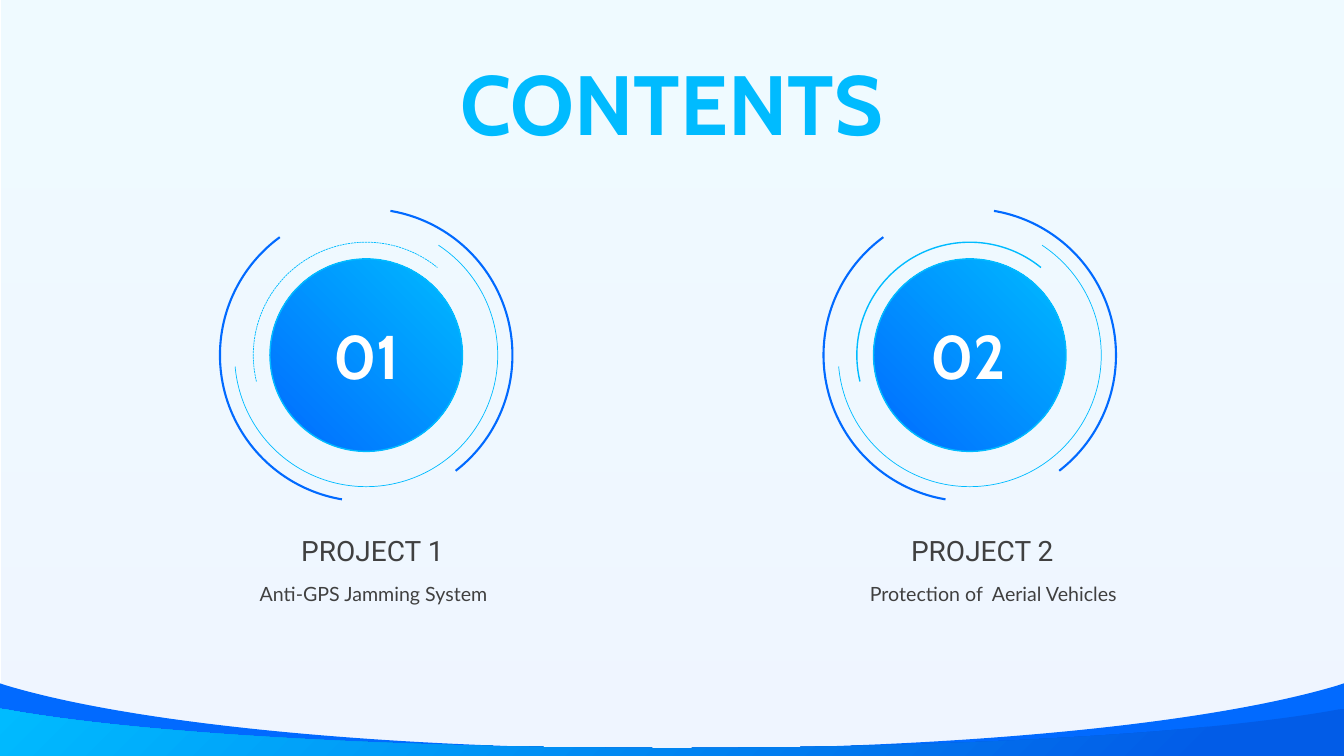
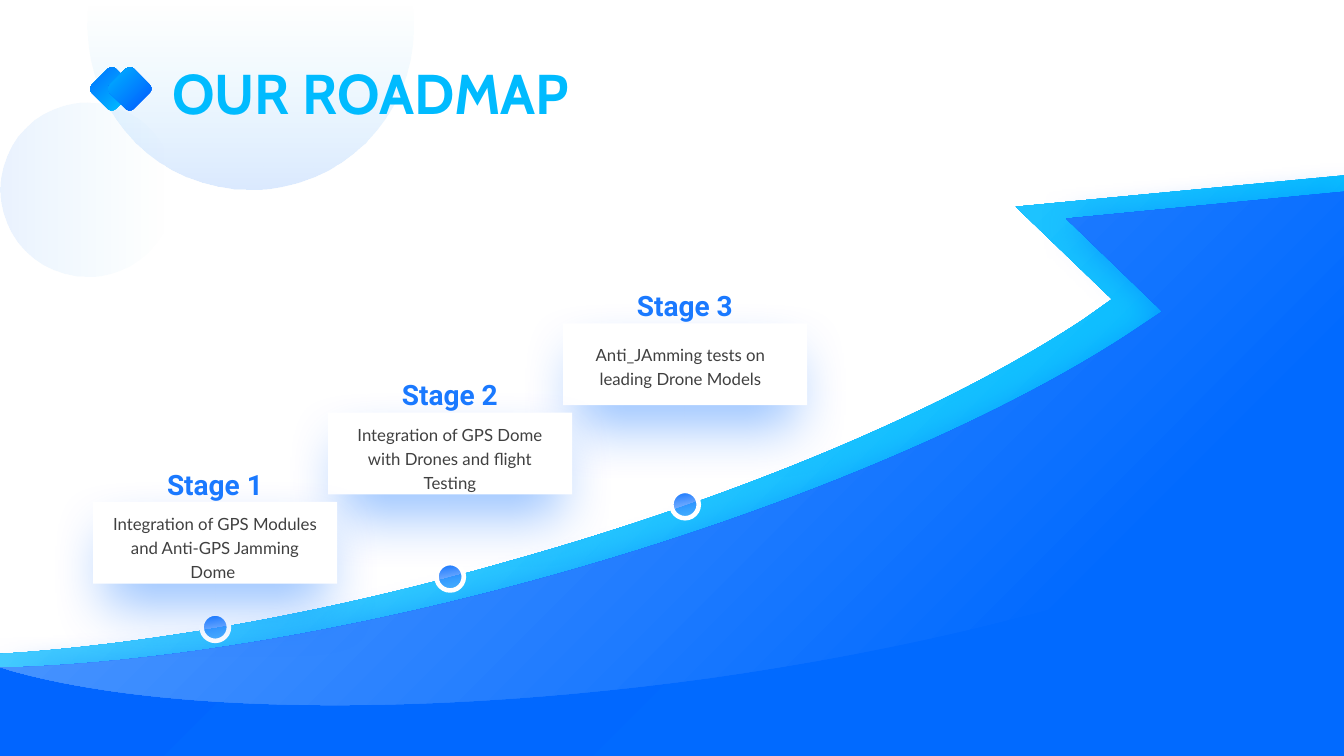
"""Build a contents page and a roadmap page in a shared blue style."""
from dataclasses import dataclass, field

from pptx import Presentation
from pptx.dml.color import RGBColor
from pptx.enum.dml import MSO_LINE
from pptx.enum.shapes import MSO_SHAPE
from pptx.enum.text import MSO_ANCHOR, PP_ALIGN
from pptx.oxml import parse_xml
from pptx.oxml.ns import nsdecls, qn
from pptx.util import Cm, Pt

ARC = MSO_SHAPE.ARC
OVAL = MSO_SHAPE.OVAL
RECTANGLE = MSO_SHAPE.RECTANGLE
ROUNDED = MSO_SHAPE.ROUNDED_RECTANGLE
SOLID = MSO_LINE.SOLID
DOTTED = MSO_LINE.SQUARE_DOT
TOP = MSO_ANCHOR.TOP
CENTER = PP_ALIGN.CENTER
LEFT = PP_ALIGN.LEFT

WIDTH, HEIGHT = 33.87, 19.05
TOP_LEFT = '<a:path path="circle"><a:fillToRect r="100000" b="100000"/></a:path>'
TOP_RIGHT = '<a:path path="circle"><a:fillToRect l="100000" b="100000"/></a:path>'
LINEAR = '<a:lin ang="{}" scaled="0"/>'
RIGHTWARD = LINEAR.format(0)
DOWNWARD = LINEAR.format(90 * 60000)
STEEP = LINEAR.format(260 * 60000)


@dataclass
class Theme:
    sky: str = "00BBFF"
    blue: str = "016AFF"
    white: str = "FFFFFF"
    fills: dict = field(default_factory=lambda: {
        "backdrop": (DOWNWARD, [(0, "CCF1FF", 30), (100, "CCE1FF", 30)]),
        "back band": (None, [(0, "016AFF", 100)]),
        "front band": (TOP_LEFT, [(0, "00BBFF", 100), (90, "025CE7", 100)]),
        "disc": (TOP_RIGHT, [(0, "00BBFF", 100), (100, "016AFF", 100)]),
        "ribbon": (TOP_LEFT, [(0, "66D6FF", 100), (80, "00BBFF", 100)]),
        "ground": (TOP_LEFT, [(0, "0165FF", 100), (80, "016AFF", 100)]),
        "arrow": (TOP_LEFT, [(0, "67A6FF", 100), (80, "016AFF", 100)]),
        "large bubble": (DOWNWARD, [(0, "00BBFF", 0), (100, "016AFF", 15)]),
        "small bubble": (RIGHTWARD, [(0, "016AFF", 9), (100, "00BBFF", 0)]),
        "dot": (STEEP, [(0, "67A6FF", 49), (100, "016AFF", 100)]),
        "card": (None, [(0, "FFFFFF", 100)]),
        "left diamond": (TOP_LEFT, [(0, "016AFF", 100), (83, "00BBFF", 100)]),
        "right diamond": (TOP_LEFT, [(0, "00BBFF", 100), (83, "0165FF", 100)]),
    })
    shadows: dict = field(default_factory=lambda: {
        "arrow": {"alpha": 50, "blur": 25, "distance": 5, "angle": 45, "scale": 100},
        "card": {"alpha": 40, "blur": 40, "distance": 19, "angle": 90, "scale": 90},
    })
    colors: dict = field(default_factory=lambda: {
        "contents title": "00BBFF",
        "roadmap title": "00BBFF",
        "number": "FFFFFF",
        "project": "404040",
        "subject": "404040",
        "stage": "1A79FF",
        "detail": "404040",
    })
    fonts: dict = field(default_factory=lambda: {
        "contents title": {"name": "Cabin", "size": Pt(60), "bold": True},
        "roadmap title": {"name": "Cabin", "size": Pt(40), "bold": True},
        "number": {"name": "Cabin", "size": Pt(44), "bold": True},
        "project": {"name": "Roboto", "size": Pt(20), "bold": False},
        "subject": {"name": "Lato", "size": Pt(14), "bold": False},
        "stage": {"name": "Roboto", "size": Pt(20), "bold": True},
        "detail": {"name": "Lato", "size": Pt(12), "bold": False},
    })


theme = Theme()


def paint(shape, role):
    direction, stops = theme.fills[role]
    shape.line.fill.background()
    shape.shadow.inherit = False
    shape.fill.solid()
    shape.fill.fore_color.rgb = RGBColor.from_string(stops[0][1])
    properties = shape.element.spPr
    if direction:
        stop_xml = "".join(
            f'<a:gs pos="{position * 1000}"><a:srgbClr val="{color}">'
            f'<a:alpha val="{alpha * 1000}"/></a:srgbClr></a:gs>'
            for position, color, alpha in stops
        )
        gradient = parse_xml(
            f'<a:gradFill {nsdecls("a")} rotWithShape="1">'
            f'<a:gsLst>{stop_xml}</a:gsLst>{direction}</a:gradFill>'
        )
        properties.replace(properties.find(qn("a:solidFill")), gradient)
    if role in theme.shadows:
        shadow = theme.shadows[role]
        scale = shadow["scale"] * 1000
        properties.find(qn("a:effectLst")).append(parse_xml(
            f'<a:outerShdw {nsdecls("a")} blurRad="{Pt(shadow["blur"])}" '
            f'dist="{Pt(shadow["distance"])}" dir="{shadow["angle"] * 60000}" '
            f'sx="{scale}" sy="{scale}" algn="ctr" rotWithShape="0">'
            f'<a:srgbClr val="{theme.blue}">'
            f'<a:alpha val="{shadow["alpha"] * 1000}"/></a:srgbClr></a:outerShdw>'
        ))


def write(box, place, text, role, align=CENTER, spacing=1.0, inset=None, wrap=True):
    box.left, box.top, box.width, box.height = [Cm(value) for value in place]
    frame = box.text_frame
    frame.word_wrap = wrap
    frame.vertical_anchor = TOP
    if inset is not None:
        for side in ("left", "top", "right", "bottom"):
            setattr(frame, f"margin_{side}", Cm(inset))
    para = frame.paragraphs[0]
    para.alignment = align
    para.line_spacing = spacing
    span = para.add_run()
    span.text = text
    for name, value in theme.fonts[role].items():
        setattr(span.font, name, value)
    span.font.color.rgb = RGBColor.from_string(theme.colors[role])


deck = Presentation()
deck.slide_width, deck.slide_height = Cm(WIDTH), Cm(HEIGHT)
title_only = deck.slide_layouts[5]
contents = deck.slides.add_slide(title_only)
roadmap = deck.slides.add_slide(title_only)

backdrop = contents.shapes.add_shape(RECTANGLE, Cm(0.03), 0, Cm(WIDTH), Cm(HEIGHT))
paint(backdrop, "backdrop")

outlines = [
    (contents, role, [
        (0, edge), (0.15, shoulder),
        (3.38, bend, 9.68, base, WIDTH / 2, base),
        (WIDTH - 9.68, base, WIDTH - 3.38, bend, WIDTH - 0.15, shoulder),
        (WIDTH, edge), (WIDTH, HEIGHT), (0, HEIGHT),
    ])
    for role, edge, shoulder, bend, base in [
        ("back band", 17.22, 17.27, 18.24, 18.87),
        ("front band", 17.86, 17.88, 18.47, 18.85),
    ]
]
outlines += [
    (roadmap, "ribbon", [
        (WIDTH, 4.42), (WIDTH, 13.26), (32.79, 12.22), (31.83, 12.7),
        (28.32, 14.4, 22.83, 15.93, 16.59, 16.79),
        (10.19, 17.68, 4.39, 17.68, 0.51, 16.97),
        (0, 16.87), (0, 16.48), (0.71, 16.43),
        (4.19, 16.15, 8.38, 15.42, 12.8, 14.15),
        (18.87, 12.45, 24.08, 10.19, 27.33, 8.03),
        (28.02, 7.54), (25.6, 5.21),
    ]),
    (roadmap, "ground", [
        (31.55, 12.34), (32.13, 12.34), (WIDTH, 12.34), (WIDTH, HEIGHT), (0, HEIGHT),
        (0, 16.84), (4.06, 17.22), (20.17, 15.14), (26.37, 13.36),
        (26.52, 13.28, 26.7, 13.16, 26.87, 13.13),
        (27.28, 13.08, 28.09, 13.08, 28.09, 13.08),
    ]),
    (roadmap, "arrow", [
        (WIDTH, 4.83), (WIDTH, 12.6), (33.12, 12.98),
        (29.62, 14.68, 24.1, 16.21, 17.86, 17.09),
        (10.57, 18.08, 4.01, 17.96, 0.25, 16.89),
        (0, 16.81), (0.56, 16.81),
        (4.27, 16.66, 9.02, 15.88, 14.1, 14.45),
        (20.17, 12.73, 25.37, 10.46, 28.6, 8.31),
        (29.29, 7.85), (26.87, 5.51),
    ]),
    (roadmap, "large bubble", [
        (2.26, 0), (10.34, 0), (10.39, 0.25),
        (10.39, 0.41, 10.41, 0.53, 10.41, 0.69),
        (10.41, 2.95, 8.56, 4.78, 6.3, 4.78),
        (4.04, 4.78, 2.2, 2.95, 2.2, 0.69),
        (2.2, 0.53, 2.21, 0.41, 2.21, 0.25),
    ]),
]
for page, role, segments in outlines:
    points = [
        (Cm(x), Cm(y))
        for segment in segments
        for x, y in zip(segment[::2], segment[1::2])
    ]
    builder = page.shapes.build_freeform(*points[0])
    builder.add_line_segments(points[1:], close=True)
    outline = builder.convert_to_shape()
    strokes = iter(list(outline.element.iter(qn("a:lnTo"))))
    for segment in segments[1:]:
        stroke = next(strokes)
        if len(segment) == 6:
            curve = parse_xml(f'<a:cubicBezTo {nsdecls("a")}/>')
            stroke.addprevious(curve)
            for control in (stroke, next(strokes), next(strokes)):
                curve.append(control[0])
                control.getparent().remove(control)
    paint(outline, role)

DISC_MIDDLE, DISC_SIZE = 8.95, 4.85
projects = [
    ("01", "PROJECT 1", "Anti-GPS Jamming System", 9.23, 9.24, 5.18, 5.21, 0.5, DOTTED),
    ("02", "PROJECT 2", "Protection of  Aerial Vehicles", 24.44, 24.4, 20.55, 20.83, 1, SOLID),
]
for (number, project, subject, center, number_center,
     project_left, subject_left, weight, dash) in projects:
    disc = contents.shapes.add_shape(
        OVAL, Cm(center - DISC_SIZE / 2), Cm(DISC_MIDDLE - DISC_SIZE / 2),
        Cm(DISC_SIZE), Cm(DISC_SIZE))
    paint(disc, "disc")
    disc.line.color.rgb = RGBColor.from_string(theme.sky)
    disc.line.width = Pt(1)
    for size, start, end, color, thickness, style in [
        (5.69, 166.49, 309.11, theme.sky, weight, dash),
        (6.63, 303.34, 175.04, theme.sky, 0.5, SOLID),
        (7.37, 279.53, 52.29, theme.blue, 1.5, SOLID),
        (7.37, 99.53, 233.79, theme.blue, 1.5, SOLID),
    ]:
        ring = contents.shapes.add_shape(
            ARC, Cm(center - size / 2), Cm(DISC_MIDDLE - size / 2), Cm(size), Cm(size))
        ring.adjustments[0], ring.adjustments[1] = start * 0.6, end * 0.6
        ring.fill.background()
        ring.shadow.inherit = False
        ring.line.color.rgb = RGBColor.from_string(color)
        ring.line.width = Pt(thickness)
        ring.line.dash_style = style
    for place, text, role, inset in [
        ((number_center - 1.35, 8.01, 2.7, 1.88), number, "number", 0),
        ((subject_left, 14.53, 8.41, 0.86), subject, "subject", None),
        ((project_left, 13.31, 8.41, 1.12), project, "project", None),
    ]:
        box = contents.shapes.add_textbox(0, 0, 0, 0)
        write(box, place, text, role, inset=inset)

STAGE_STEP, STAGE_RISE = 5.92, 2.25
stages = [
    ("Integration of GPS Modules and Anti-GPS Jamming Dome ", 15.46, 0.11, 0.07),
    ("Integration of GPS Dome with Drones and flight Testing", 14.19, 0.11, 0.07),
    ("Anti_JAmming tests on leading Drone Models", 12.37, 0, 0.31),
]
for index, (detail, dot_top, indent, drop) in reversed(list(enumerate(stages))):
    left = 2.35 + index * STAGE_STEP
    top = 12.65 - index * STAGE_RISE
    dot = roadmap.shapes.add_shape(OVAL, Cm(left + 2.73), Cm(dot_top), Cm(0.69), Cm(0.69))
    paint(dot, "dot")
    dot.line.color.rgb = RGBColor.from_string(theme.white)
    dot.line.width = Pt(3.25)
    card = roadmap.shapes.add_shape(RECTANGLE, Cm(left), Cm(top), Cm(6.15), Cm(2.06))
    paint(card, "card")
    for place, text, role in [
        ((left + indent, top + drop, 5.92, 2.11), detail, "detail"),
        ((left + 1, top - 1.17, 4.14, 1.27), f"Stage {index + 1}", "stage"),
    ]:
        box = roadmap.shapes.add_textbox(0, 0, 0, 0)
        write(box, place, text, role, spacing=1.2)

for kind, left, top, size, angle, role in [
    (OVAL, 0.02, 2.59, 4.39, 0, "small bubble"),
    (ROUNDED, 2.39, 1.81, 0.86, 45, "left diamond"),
    (ROUNDED, 2.84, 1.81, 0.86, 45, "right diamond"),
]:
    ornament = roadmap.shapes.add_shape(kind, Cm(left), Cm(top), Cm(size), Cm(size))
    ornament.rotation = angle
    paint(ornament, role)

for page, place, text, role, align, spacing, wrap in [
    (contents, (10.69, 1.3, 12.47, 2.57), "CONTENTS", "contents title", CENTER, 1.0, False),
    (roadmap, (4.34, 1.14, 19.05, 2.06), "OUR ROADMAP", "roadmap title", LEFT, 1.2, True),
]:
    title = page.shapes.title
    write(title, place, text, role, align, spacing, 0, wrap)
    page.shapes.element.append(title.element)

deck.save("out.pptx")
